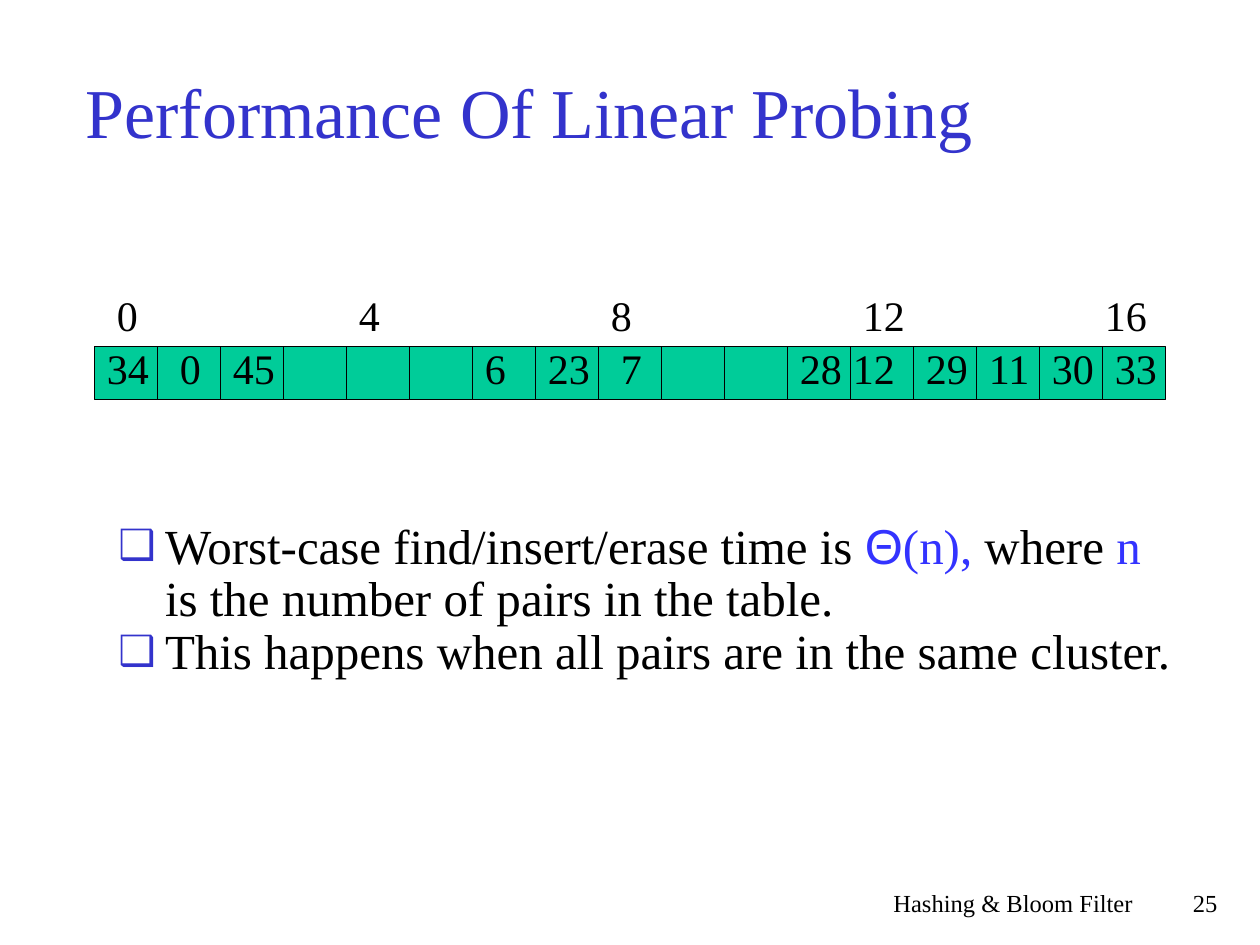
from dataclasses import dataclass

from lxml.etree import SubElement
from pptx import Presentation
from pptx.dml.color import RGBColor
from pptx.enum.shapes import MSO_SHAPE
from pptx.enum.text import MSO_ANCHOR, MSO_AUTO_SIZE, PP_ALIGN
from pptx.oxml.ns import qn
from pptx.util import Inches, Pt


@dataclass(frozen=True)
class Theme:
    """Fonts, colours and type sizes of the slide."""
    font: str = "Times New Roman"
    symbol_font: str = "Arial"
    title: str = "3333CC"
    accent: str = "3333FF"
    text: str = "000000"
    cell: str = "00CC99"
    title_size: int = 40
    body_size: int = 28
    label_size: int = 24
    footer_size: int = 14


@dataclass(frozen=True)
class Label:
    """A number at a table slot, nudged sideways by some inches."""
    slot: int
    text: str
    nudge: float = 0
    width: float = 0.58


@dataclass(frozen=True)
class Span:
    """A stretch of body text with its colour and font."""
    text: str
    color: str
    font: str


THEME = Theme()
SLOTS = 17
TABLE_LEFT, TABLE_TOP = 0.75, 2.75
CELL_W, CELL_H = 0.5, 0.42
INDEX_TOP, KEY_TOP = 2.25, 2.67

INDEXES = [Label(0, "0", 0.08), Label(4, "4"), Label(8, "8"),
           Label(12, "12"), Label(16, "16", -0.08)]
KEYS = [Label(0, "34"), Label(1, "0", 0.08, 0.42), Label(2, "45"),
        Label(6, "6", 0, 0.42), Label(7, "23"), Label(8, "7", 0.08, 0.42),
        Label(11, "28"), Label(12, "12", -0.08), Label(13, "29"),
        Label(14, "11"), Label(15, "30"), Label(16, "33")]


def plain(text: str) -> Span:
    """Return a span in the ordinary text colour."""
    return Span(text, THEME.text, THEME.font)


def accent(text: str, font: str = THEME.font) -> Span:
    """Return a span in the accent colour."""
    return Span(text, THEME.accent, font)


BULLETS = [
    [plain("Worst-case find/insert/erase time is "),
     accent("\u0398", THEME.symbol_font), accent("(n),"), plain(" where "),
     accent("n"), plain(" is the number of pairs in the table.")],
    [plain("This happens when all pairs are in the same cluster.")],
]


def place(sp, left: float, top: float, width: float, height: float) -> None:
    """Move and size a shape, in inches."""
    sp.left, sp.top = Inches(left), Inches(top)
    sp.width, sp.height = Inches(width), Inches(height)


def style(r, size: int, color: str = THEME.text, font: str = THEME.font) -> None:
    """Format one run."""
    r.font.name, r.font.size = font, Pt(size)
    r.font.color.rgb = RGBColor.from_string(color)


def add_title(s, text: str) -> None:
    """Fill the title placeholder."""
    sp = s.shapes.title
    place(sp, 0.58, 0.25, 8.5, 1.25)
    tf = sp.text_frame
    tf.text = text
    tf.auto_size, tf.vertical_anchor = MSO_AUTO_SIZE.NONE, MSO_ANCHOR.MIDDLE
    p = tf.paragraphs[0]
    p.alignment = PP_ALIGN.LEFT
    style(p.runs[0], THEME.title_size, THEME.title)


def set_bullet(p) -> None:
    """Give a paragraph a coloured box bullet and a hanging indent."""
    pPr = p._p.get_or_add_pPr()
    pPr.set("marL", str(Inches(0.38)))
    pPr.set("indent", str(Inches(-0.37)))
    color = SubElement(pPr, qn("a:buClr"))
    SubElement(color, qn("a:srgbClr"), val=THEME.title)
    SubElement(pPr, qn("a:buSzPct"), val="85000")
    SubElement(pPr, qn("a:buChar"), char="\u2751")


def add_body(s, bullets: list[list[Span]]) -> None:
    """Fill the body placeholder with bullets."""
    sp = s.placeholders[1]
    place(sp, 0.83, 4.09, 8.66, 2.5)
    tf = sp.text_frame
    tf.auto_size = MSO_AUTO_SIZE.NONE
    for i, spans in enumerate(bullets):
        p = tf.add_paragraph() if i else tf.paragraphs[0]
        p.line_spacing, p.space_before = 0.9, Pt(0)
        set_bullet(p)
        for span in spans:
            r = p.add_run()
            r.text = span.text
            style(r, THEME.body_size, span.color, span.font)


def add_cell(s, slot: int) -> None:
    """Draw one slot of the hash table."""
    sp = s.shapes.add_shape(
        MSO_SHAPE.RECTANGLE, Inches(TABLE_LEFT + slot * CELL_W),
        Inches(TABLE_TOP), Inches(CELL_W), Inches(CELL_H))
    sp.shadow.inherit = False
    sp.fill.solid()
    sp.fill.fore_color.rgb = RGBColor.from_string(THEME.cell)
    sp.line.color.rgb = RGBColor.from_string(THEME.text)
    sp.line.width = Pt(1)


def add_text(s, text: str, left: float, top: float, width: float, size: int,
             align: PP_ALIGN = PP_ALIGN.LEFT) -> None:
    """Add a one-line text box."""
    sp = s.shapes.add_textbox(Inches(left), Inches(top), Inches(width), Inches(0.5))
    tf = sp.text_frame
    tf.word_wrap = True
    tf.text = text
    p = tf.paragraphs[0]
    p.alignment = align
    style(p.runs[0], size)


def add_labels(s, labels: list[Label], top: float) -> None:
    """Add a row of numbers aligned to the table slots."""
    for label in labels:
        left = TABLE_LEFT + label.slot * CELL_W + label.nudge
        add_text(s, label.text, left, top, label.width, THEME.label_size)


def main() -> None:
    """Build and save the slide."""
    prs = Presentation()
    prs.slide_width, prs.slide_height = Inches(10), Inches(7.5)
    s = prs.slides.add_slide(prs.slide_layouts[1])
    add_title(s, "Performance Of Linear Probing")
    add_body(s, BULLETS)
    for slot in range(SLOTS):
        add_cell(s, slot)
    add_labels(s, INDEXES, INDEX_TOP)
    add_labels(s, KEYS, KEY_TOP)
    add_text(s, "25", 9.08, 7, 0.68, THEME.footer_size, PP_ALIGN.RIGHT)
    add_text(s, "Hashing & Bloom Filter", 5.92, 7, 3.17, THEME.footer_size,
             PP_ALIGN.RIGHT)
    prs.save("out.pptx")


main()
